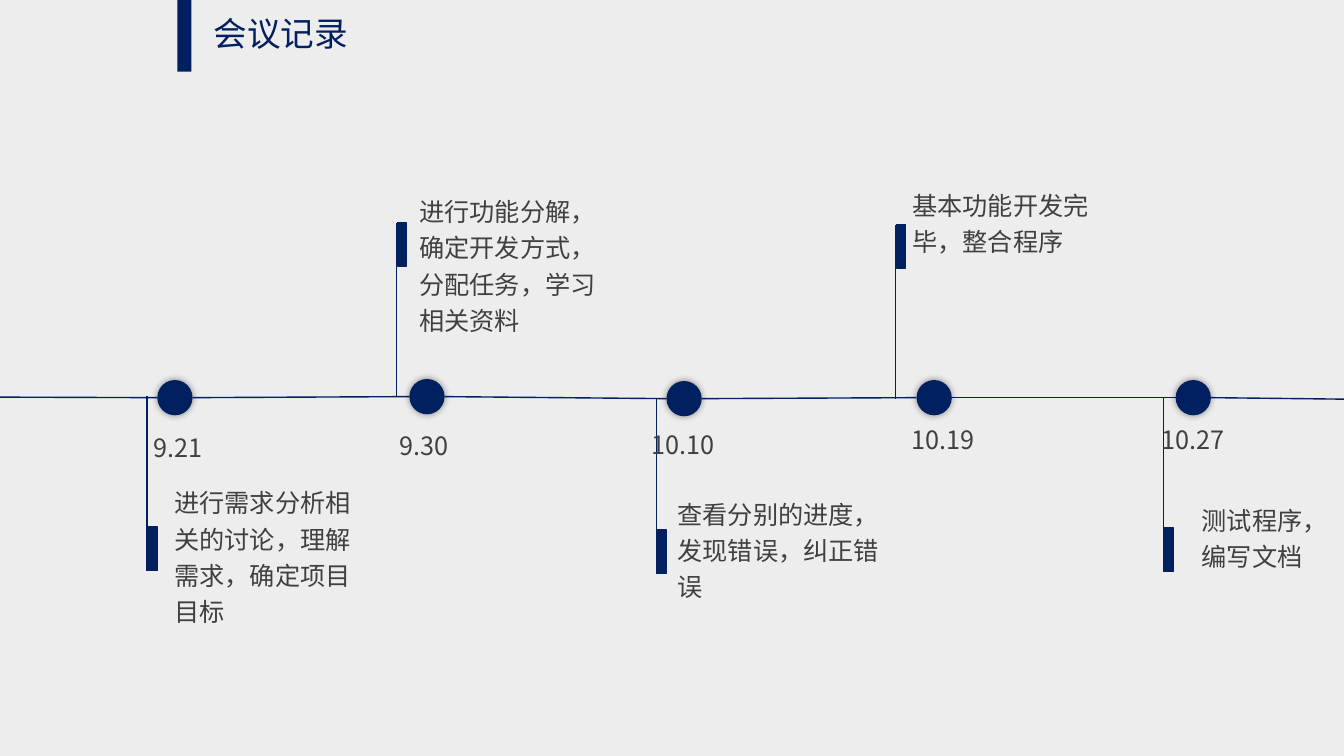
from typing import NamedTuple

from lxml import etree
from pptx import Presentation
from pptx.dml.color import RGBColor
from pptx.enum.shapes import MSO_CONNECTOR, MSO_SHAPE
from pptx.enum.text import MSO_ANCHOR, MSO_AUTO_SIZE as AutoSize, PP_ALIGN
from pptx.oxml import parse_xml
from pptx.oxml.ns import nsdecls, qn
from pptx.util import Inches, Pt

COLORS = {"background": "EDEDED", "navy": "002060", "text": "404040", "shadow": "000000"}
TITLE_FONT = "Noto Sans CJK SC"
BODY_FONT = "Noto Sans CJK JP"
SLIDE_WIDTH, SLIDE_HEIGHT = 13.33, 7.5
DOT_SIZE = 0.35
STEM_LENGTH = 1.73
TAB_WIDTH, TAB_HEIGHT = 0.09, 0.43
DATE_HEIGHT = 0.4


class Meeting(NamedTuple):
    date: str
    date_box: tuple  # left, top, width
    dot: tuple  # left, top
    stem: tuple  # x, y on the axis, direction (1 down, -1 up)
    summary: str
    summary_box: tuple  # left, top, width, height


MEETINGS = [
    Meeting("9.21", (1.41, 4.24, 0.71), (1.56, 3.77), (1.46, 3.93, 1),
            "进行需求分析相关的讨论，理解需求，确定项目目标", (1.63, 4.73, 2.01, 1.56)),
    Meeting("9.30", (3.85, 4.22, 0.71), (4.06, 3.76), (3.93, 3.94, -1),
            "进行功能分解，确定开发方式，分配任务，学习相关资料", (4.06, 1.84, 2.01, 1.56)),
    Meeting("10.10", (6.35, 4.21, 0.85), (6.61, 3.78), (6.51, 3.96, 1),
            "查看分别的进度，发现错误，纠正错误", (6.62, 4.84, 2.22, 1.19)),
    Meeting("10.19", (8.93, 4.16, 0.85), (9.09, 3.77), (8.88, 3.96, -1),
            "基本功能开发完毕，整合程序", (8.95, 1.78, 2.01, 0.83)),
    Meeting("10.27", (11.41, 4.16, 0.85), (11.66, 3.77), (11.54, 3.94, 1),
            "测试程序，编写文档", (11.82, 4.9, 1.35, 0.83)),
]


def color(name):
    return RGBColor.from_string(COLORS[name])


def add_run(paragraph, text, size, font, color_name):
    """Add a run whose typeface also covers East Asian characters."""
    run = paragraph.add_run()
    run.text = text
    run.font.size = Pt(size)
    run.font.name = font
    run.font.color.rgb = color(color_name)
    east_asian = etree.SubElement(run._r.get_or_add_rPr(), qn("a:ea"))
    east_asian.set("typeface", font)


def add_block(slide, preset, left, top, width, height, outlined=False):
    block = slide.shapes.add_shape(
        preset, Inches(left), Inches(top), Inches(width), Inches(height))
    block.shadow.inherit = False
    block.fill.solid()
    block.fill.fore_color.rgb = color("navy")
    if outlined:
        block.line.color.rgb = color("navy")
        block.line.width = Pt(1)
    else:
        block.line.fill.background()
    return block


def add_line(slide, start, end):
    line = slide.shapes.add_connector(
        MSO_CONNECTOR.STRAIGHT, *(Inches(value) for value in (*start, *end)))
    line.line.color.rgb = color("navy")
    line.line.width = Pt(1)
    etree.SubElement(line._element.spPr, qn("a:effectLst"))


def add_text(slide, text, left, top, width, height, wrap=True):
    box = slide.shapes.add_textbox(
        Inches(left), Inches(top), Inches(width), Inches(height))
    frame = box.text_frame
    frame.word_wrap = wrap
    frame.auto_size = AutoSize.SHAPE_TO_FIT_TEXT
    paragraph = frame.paragraphs[0]
    add_run(paragraph, text, 18, BODY_FONT, "text")
    return paragraph


def add_title(slide, text):
    add_block(slide, MSO_SHAPE.RECTANGLE, 1.76, 0, 0.14, 0.71)
    title = slide.shapes.title
    title.left, title.top = Inches(2.02), Inches(0.07)
    title.width, title.height = Inches(7.26), Inches(0.51)
    title.fill.solid()
    title.fill.fore_color.rgb = color("background")
    frame = title.text_frame
    frame.auto_size = AutoSize.NONE
    frame.vertical_anchor = MSO_ANCHOR.MIDDLE
    paragraph = frame.paragraphs[0]
    paragraph.alignment = PP_ALIGN.LEFT
    add_run(paragraph, text, 24, TITLE_FONT, "navy")


def add_axis(slide):
    """Join the slide edges and the dots with one segment per gap."""
    middles = [(left, top + DOT_SIZE / 2) for left, top in (m.dot for m in MEETINGS)]
    starts = [(0, 3.94)] + [(left + DOT_SIZE, y) for left, y in middles]
    ends = middles + [(SLIDE_WIDTH, 3.96)]
    for start, end in zip(starts, ends):
        add_line(slide, start, end)


def add_dot(slide, left, top):
    dot = add_block(slide, MSO_SHAPE.OVAL, left, top, DOT_SIZE, DOT_SIZE)
    glow = parse_xml(
        f'<a:outerShdw {nsdecls("a")} blurRad="{Pt(5)}" dist="0" dir="0" algn="ctr" '
        f'rotWithShape="0"><a:srgbClr val="{COLORS["shadow"]}">'
        '<a:alpha val="40000"/></a:srgbClr></a:outerShdw>')
    dot._element.spPr.find(qn("a:effectLst")).append(glow)


def add_flag(slide, x, axis_y, direction):
    """Draw a stem from the axis with a tab at its far end."""
    tip = axis_y + direction * STEM_LENGTH
    add_line(slide, (x, axis_y), (x, tip))
    tab_top = tip if direction < 0 else tip - TAB_HEIGHT
    add_block(slide, MSO_SHAPE.RECTANGLE, x + 0.01, tab_top,
              TAB_WIDTH, TAB_HEIGHT, outlined=True)


def add_meeting(slide, meeting):
    add_flag(slide, *meeting.stem)
    add_dot(slide, *meeting.dot)
    date = add_text(slide, meeting.date, *meeting.date_box, DATE_HEIGHT, wrap=False)
    date.alignment = PP_ALIGN.CENTER
    summary = add_text(slide, meeting.summary, *meeting.summary_box)
    summary.line_spacing = 1.2


def main():
    deck = Presentation()
    deck.slide_width, deck.slide_height = Inches(SLIDE_WIDTH), Inches(SLIDE_HEIGHT)
    slide = deck.slides.add_slide(deck.slide_layouts.get_by_name("Title Only"))
    slide.background.fill.solid()
    slide.background.fill.fore_color.rgb = color("background")
    add_title(slide, "会议记录")
    add_axis(slide)
    for meeting in MEETINGS:
        add_meeting(slide, meeting)
    deck.save("out.pptx")


if __name__ == "__main__":
    main()
